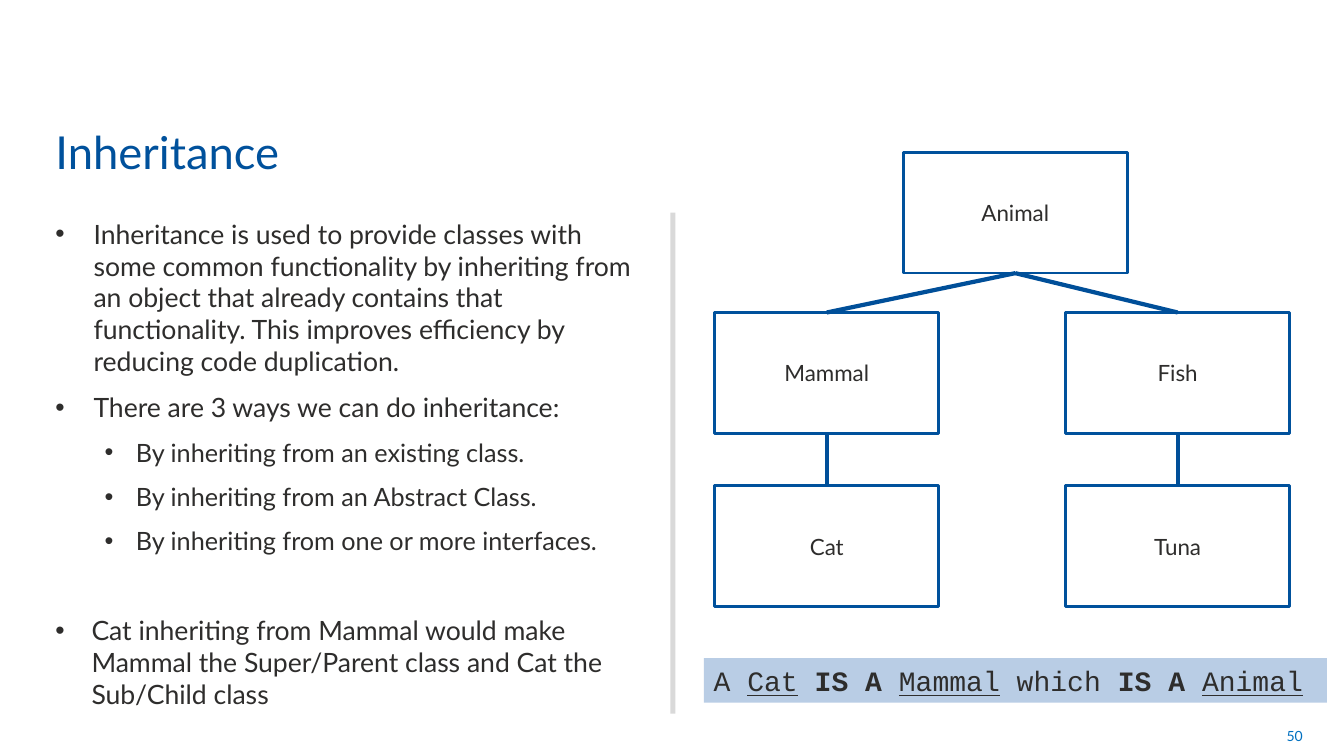
from lxml.etree import SubElement
from pptx import Presentation
from pptx.dml.color import RGBColor
from pptx.enum.shapes import MSO_CONNECTOR, MSO_SHAPE
from pptx.enum.text import MSO_ANCHOR, PP_ALIGN
from pptx.oxml.ns import qn
from pptx.util import Inches, Pt

TITLE_BLUE = RGBColor(0x00, 0x51, 0x9C)
LINE_BLUE = RGBColor(0x00, 0x4F, 0x99)
NUMBER_BLUE = RGBColor(0x00, 0x70, 0xC0)
STRIP_BLUE = RGBColor(0xB9, 0xCD, 0xE5)
GREY = RGBColor(0xD9, 0xD9, 0xD9)
INK = RGBColor(0x2E, 0x2D, 0x2C)
WHITE = RGBColor(0xFF, 0xFF, 0xFF)

TOP, BOTTOM = 0, 2  # connection sites of a rectangle


def add_span(para, text, size=16, font="Lato", color=INK, bold=False, underline=False):
    span = para.add_run()
    span.text = text
    span.font.size = Pt(size)
    span.font.name = font
    span.font.color.rgb = color
    span.font.bold = bold
    span.font.underline = underline


class SlideBuilder:
    def __init__(self, page):
        self.page = page
        self.line_width = Pt(2)
        self.connector_width = Pt(3)

    def title(self, text, left, top, width, height):
        box = self.page.shapes.title
        box.left, box.top = Inches(left), Inches(top)
        box.width, box.height = Inches(width), Inches(height)
        frame = box.text_frame
        frame.vertical_anchor = MSO_ANCHOR.BOTTOM
        frame.paragraphs[0].alignment = PP_ALIGN.LEFT
        add_span(frame.paragraphs[0], text, size=32.4, color=TITLE_BLUE)

    def rectangle(self, left, top, width, height, fill, line=None):
        box = self.page.shapes.add_shape(
            MSO_SHAPE.RECTANGLE, Inches(left), Inches(top), Inches(width), Inches(height))
        box.shadow.inherit = False
        box.fill.solid()
        box.fill.fore_color.rgb = fill
        if line is None:
            box.line.fill.background()
        else:
            box.line.color.rgb = line
            box.line.width = self.line_width
        return box

    def class_box(self, name, left, top):
        box = self.rectangle(left, top, 2.22, 1.2, WHITE, TITLE_BLUE)
        para = box.text_frame.paragraphs[0]
        para.alignment = PP_ALIGN.CENTER
        add_span(para, name)
        return box

    def text_box(self, left, top, width, height, anchor=MSO_ANCHOR.TOP):
        box = self.page.shapes.add_textbox(
            Inches(left), Inches(top), Inches(width), Inches(height))
        box.text_frame.word_wrap = True
        box.text_frame.vertical_anchor = anchor
        return box.text_frame

    def bullet(self, para, text, level=0, indent=0.38, hanging=0.38, size=19, before=2):
        para.level = level
        para.space_before, para.space_after = Pt(before), Pt(8)
        properties = para._p.get_or_add_pPr()
        properties.set("marL", str(Inches(indent)))
        properties.set("indent", str(-Inches(hanging)))
        SubElement(properties, qn("a:buFont"), typeface="Arial")
        SubElement(properties, qn("a:buChar"), char="•")
        add_span(para, text, size=size)

    def connector(self, parent, child):
        line = self.page.shapes.add_connector(MSO_CONNECTOR.STRAIGHT, 0, 0, 0, 0)
        line.begin_connect(parent, BOTTOM)
        line.end_connect(child, TOP)
        line.line.color.rgb = LINE_BLUE
        line.line.width = self.connector_width
        SubElement(line._element.spPr, qn("a:effectLst"))


def main():
    deck = Presentation()
    deck.slide_width, deck.slide_height = Inches(13.33), Inches(7.5)
    builder = SlideBuilder(deck.slides.add_slide(deck.slide_layouts[5]))

    # Title, divider and page number
    builder.title("Inheritance", 0.45, 1.13, 9.98, 0.69)
    builder.rectangle(6.65, 2.11, 0.05, 4.97, GREY)
    number = builder.text_box(9.91, 7.1, 3.11, 0.4, MSO_ANCHOR.MIDDLE).paragraphs[0]
    number.alignment = PP_ALIGN.RIGHT
    add_span(number, "50", size=10, color=NUMBER_BLUE)

    # Bullets
    sub_level = dict(level=1, indent=0.8, hanging=0.31, size=18)
    bullets = [
        ("Inheritance is used to provide classes with some common functionality by "
         "inheriting from an object that already contains that functionality. "
         "This improves efficiency by reducing code duplication.", {}),
        ("There are 3 ways we can do inheritance:", {}),
        ("By inheriting from an existing class.", sub_level),
        ("By inheriting from an Abstract Class.", sub_level),
        ("By inheriting from one or more interfaces.", sub_level),
        ("Cat inheriting from Mammal would make Mammal the Super/Parent class "
         "and Cat the Sub/Child class", dict(indent=0.36, before=33.6)),
    ]
    body = builder.text_box(0.45, 2.11, 6.1, 4.97)
    for index, (text, style) in enumerate(bullets):
        para = body.add_paragraph() if index else body.paragraphs[0]
        builder.bullet(para, text, **style)

    # Class tree: one branch per column under the root
    animal = builder.class_box("Animal", 8.96, 1.51)
    for left, parent_name, child_name in [(7.09, "Mammal", "Cat"), (10.57, "Fish", "Tuna")]:
        parent = builder.class_box(parent_name, left, 3.1)
        child = builder.class_box(child_name, left, 4.82)
        builder.connector(animal, parent)
        builder.connector(parent, child)

    # "Is a" sentence
    strip = builder.rectangle(6.98, 6.53, 6.18, 0.44, STRIP_BLUE)
    strip.text_frame.vertical_anchor = MSO_ANCHOR.TOP
    sentence = strip.text_frame.paragraphs[0]
    sentence.alignment = PP_ALIGN.LEFT
    term, verb = dict(underline=True), dict(bold=True)
    for text, style in [("A ", {}), ("Cat", term), (" ", {}), ("IS A ", verb),
                        ("Mammal", term), (" which ", {}), ("IS A ", verb),
                        ("Animal", term)]:
        add_span(sentence, text, size=20, font="Courier New", **style)

    deck.save("out.pptx")


if __name__ == "__main__":
    main()
